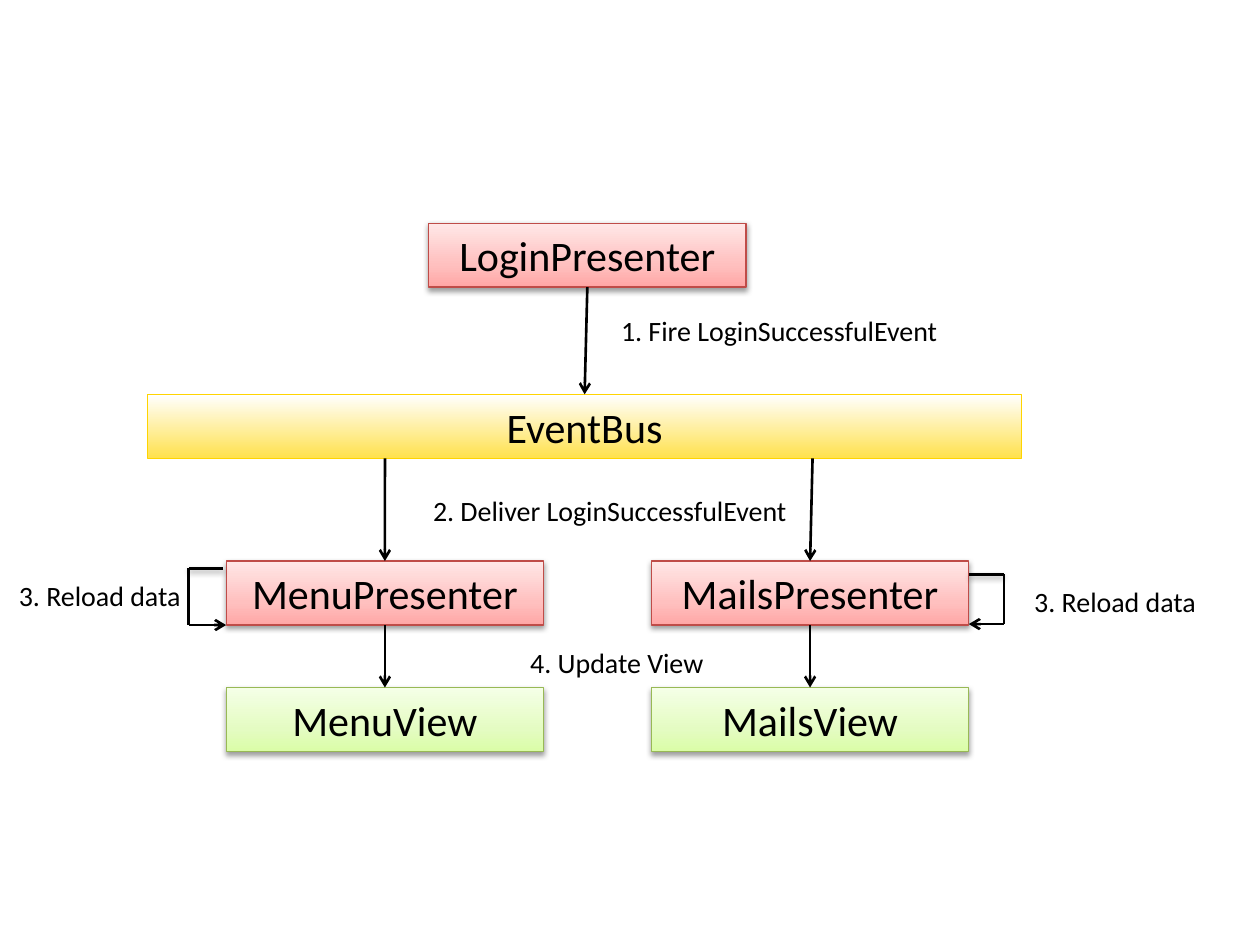
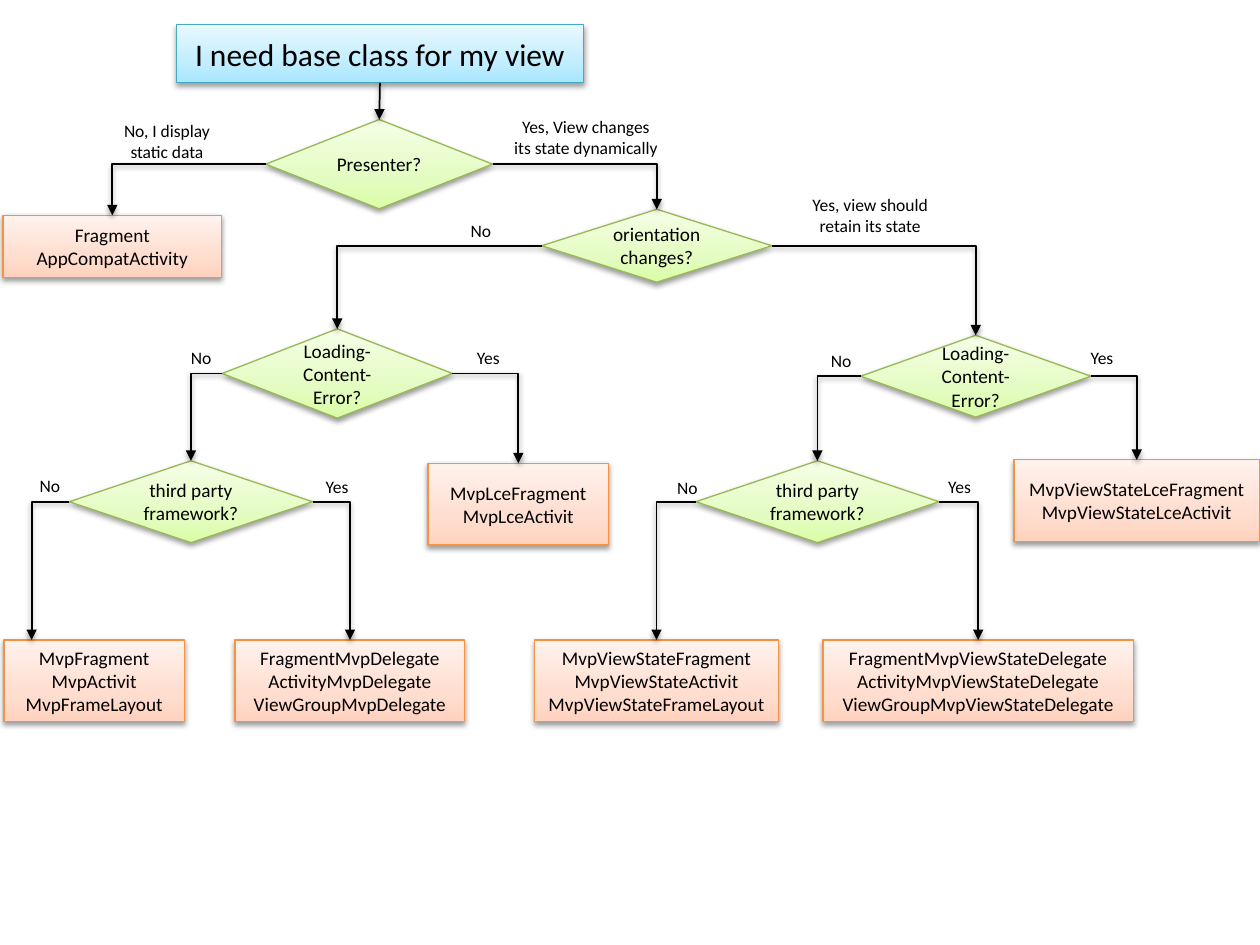
"""Build two diagrams: login event delivery and the choice of a view base class."""
import dataclasses

import pptx
import pptx.dml.color
import pptx.enum.shapes
import pptx.enum.text
import pptx.oxml.ns
import pptx.util
from lxml import etree

Cm = pptx.util.Cm
Pt = pptx.util.Pt
qn = pptx.oxml.ns.qn
SHAPE = pptx.enum.shapes.MSO_SHAPE
STRAIGHT = pptx.enum.shapes.MSO_CONNECTOR.STRAIGHT
ALIGN = pptx.enum.text.PP_ALIGN
SITES = {"top": 0, "left": 1, "bottom": 2, "right": 3}


@dataclasses.dataclass(frozen=True)
class Style:
    stops: tuple
    outline: str
    weight: float = 0.75
    shadow: bool = True


@dataclasses.dataclass(frozen=True)
class Theme:
    font: str = "Calibri"
    ink: str = "000000"
    part_size: int = 24
    step_size: int = 16
    question_size: int = 18
    node_size: int = 11
    answer_size: int = 10
    event_line: float = 1.5
    flow_line: float = 1
    red: Style = Style(((0, "FFA6A5"), (35, "FFC0BF"), (100, "FFE7E7")), "BF4C48")
    green: Style = Style(((0, "DAFDA7"), (35, "E4FCC2"), (100, "F5FFE7")), "98B955")
    blue: Style = Style(((0, "A7E6FF"), (35, "C1EDFF"), (100, "E7F8FF")), "46AAC5")
    orange: Style = Style(((0, "FFD2BD"), (35, "FFDED0"), (100, "FFF2ED")), "F69240")
    yellow: Style = Style(((0, "FFE14D"), (100, "FFFFFF")), "FFD400", 0.5, False)


THEME = Theme()

PART_WIDTH, PART_HEIGHT = 6.4, 1.29
MENU_LEFT, MAILS_LEFT = 4.56, 13.13
PRESENTER_TOP, VIEW_TOP = 11.31, 13.86
PARTS = {
    "login": (THEME.red, 8.64, 4.5, PART_WIDTH, "LoginPresenter"),
    "bus": (THEME.yellow, 2.97, 7.95, 17.63, "EventBus"),
    "menu": (THEME.red, MENU_LEFT, PRESENTER_TOP, PART_WIDTH, "MenuPresenter"),
    "mails": (THEME.red, MAILS_LEFT, PRESENTER_TOP, PART_WIDTH, "MailsPresenter"),
    "menu view": (THEME.green, MENU_LEFT, VIEW_TOP, PART_WIDTH, "MenuView"),
    "mails view": (THEME.green, MAILS_LEFT, VIEW_TOP, PART_WIDTH, "MailsView"),
}
CALLS = [("login", "bus"), ("menu", "menu view"), ("mails", "mails view")]
DELIVERIES = [(7.76, "menu"), (16.38, "mails")]
RELOADS = [
    [(19.53, 11.58), (20.24, 11.58), (20.24, 12.58), (19.53, 12.58)],
    [(4.5, 11.46), (3.8, 11.46), (3.8, 12.6), (4.56, 12.6)],
]
STEPS = [
    ("1. Fire LoginSuccessfulEvent", 12.27, 6.2, 7.44),
    ("2. Deliver LoginSuccessfulEvent", 8.48, 9.83, 8.23),
    ("3. Reload data", 20.6, 11.66, 3.84),
    ("4. Update View", 10.44, 12.88, 4.57),
    ("3. Reload data", 0.13, 11.53, 3.84),
]

QUESTION = ("I need base class for my view", 3.56, 0.5, 8.2, 1.17)
DECISIONS = {
    "presenter": ("Presenter?", 5.36, 2.41, 4.57, 1.8),
    "orientation": ("orientation changes?", 10.92, 4.22, 4.64, 1.47),
    "lce": ("Loading-Content-Error?", 4.48, 6.63, 4.64, 1.8),
    "state lce": ("Loading-Content-Error?", 17.35, 6.76, 4.64, 1.65),
    "third": ("third party framework?", 1.4, 9.29, 4.9, 1.65),
    "state third": ("third party framework?", 14.03, 9.29, 4.9, 1.65),
}
CLASSES = {
    "static": ("Fragment\nAppCompatActivity", 0.06, 4.34, 4.41, 1.25),
    "lce classes": ("MvpLceFragment\nMvpLceActivit", 8.63, 9.34, 3.64, 1.65),
    "state lce classes": (
        "MvpViewStateLceFragment\nMvpViewStateLceActivit", 20.44, 9.27, 4.95, 1.65),
    "classes": ("MvpFragment\nMvpActivit\nMvpFrameLayout", 0.08, 12.9, 3.64, 1.65),
    "delegates": (
        "FragmentMvpDelegate\nActivityMvpDelegate\nViewGroupMvpDelegate",
        4.74, 12.9, 4.63, 1.65),
    "state classes": (
        "MvpViewStateFragment\nMvpViewStateActivit\nMvpViewStateFrameLayout",
        10.78, 12.9, 4.91, 1.65),
    "state delegates": (
        "FragmentMvpViewStateDelegate\nActivityMvpViewStateDelegate\n"
        "ViewGroupMvpViewStateDelegate", 16.59, 12.9, 6.26, 1.65),
}
BRANCHES = {
    "presenter": ("static", "orientation"),
    "orientation": ("lce", "state lce"),
    "lce": ("third", "lce classes"),
    "state lce": ("state third", "state lce classes"),
    "third": ("classes", "delegates"),
    "state third": ("state classes", "state delegates"),
}
CLASSES_ENTRY = (0.64, 12.9)
ANSWERS = [
    ("No, I display static data", 1.98, 2.29, 2.77),
    ("Yes, View changes\nits state dynamically", 9.78, 2.21, 4.06),
    ("No", 8.31, 4.32, 2.77),
    ("Yes, view should retain its state", 15.7, 3.78, 3.68),
    ("No", 2.67, 6.88, 2.77),
    ("Yes", 8.46, 6.88, 2.77),
    ("No", 15.57, 6.93, 2.77),
    ("Yes", 20.83, 6.88, 2.77),
    ("No", 12.47, 9.5, 2.77),
    ("Yes", 17.96, 9.47, 2.77),
    ("No", 0, 9.45, 2.01),
    ("Yes", 5.41, 9.47, 2.77),
]


def color(code):
    return pptx.dml.color.RGBColor.from_string(code)


def write(frame, text, *, size, align=ALIGN.CENTER, anchor=None, grow=False):
    frame.word_wrap = True
    if anchor is not None:
        frame.vertical_anchor = anchor
    if grow:
        frame.auto_size = pptx.enum.text.MSO_AUTO_SIZE.SHAPE_TO_FIT_TEXT
    for number, line in enumerate(text.split("\n")):
        para = frame.add_paragraph() if number else frame.paragraphs[0]
        para.alignment = align
        span = para.add_run()
        span.text = line
        span.font.name = THEME.font
        span.font.size = Pt(size)
        span.font.color.rgb = color(THEME.ink)


def set_effects(properties, shadow):
    effects = properties.find(qn("a:effectLst"))
    if effects is None:
        effects = etree.SubElement(properties, qn("a:effectLst"))
    if shadow:
        outer = etree.SubElement(
            effects, qn("a:outerShdw"), blurRad="40000", dist="20000",
            dir="5400000", rotWithShape="0")
        tint = etree.SubElement(outer, qn("a:srgbClr"), val=THEME.ink)
        etree.SubElement(tint, qn("a:alpha"), val="38000")


def add_box(page, kind, style, text, left, top, width, height, **text_format):
    box = page.shapes.add_shape(kind, Cm(left), Cm(top), Cm(width), Cm(height))
    box.fill.gradient()
    box.fill.gradient_angle = 90
    properties = box._element.spPr
    stop_list = properties.find(".//" + qn("a:gsLst"))
    for stop in list(stop_list):
        stop_list.remove(stop)
    for position, code in style.stops:
        stop = etree.SubElement(stop_list, qn("a:gs"), pos=str(position * 1000))
        etree.SubElement(stop, qn("a:srgbClr"), val=code)
    box.line.color.rgb = color(style.outline)
    box.line.width = Pt(style.weight)
    box.shadow.inherit = False
    set_effects(properties, style.shadow)
    write(box.text_frame, text, **text_format)
    return box


def add_label(page, text, left, top, width, *, height, **text_format):
    label = page.shapes.add_textbox(Cm(left), Cm(top), Cm(width), Cm(height))
    write(label.text_frame, text, grow=True, **text_format)


def locate(anchor):
    place, side = anchor
    if side not in SITES:
        return Cm(place), Cm(side)
    across = {"left": 0, "right": place.width}.get(side, place.width // 2)
    down = {"top": 0, "bottom": place.height}.get(side, place.height // 2)
    return place.left + across, place.top + down


def connect(page, start, end, *, weight, head=None, shadow=False, elbow=False):
    link = page.shapes.add_connector(STRAIGHT, *locate(start), *locate(end))
    if start[1] in SITES:
        link.begin_connect(start[0], SITES[start[1]])
    if end[1] in SITES:
        link.end_connect(end[0], SITES[end[1]])
    link.line.color.rgb = color(THEME.ink)
    link.line.width = Pt(weight)
    properties = link._element.spPr
    if elbow:
        properties.find(qn("a:prstGeom")).set("prst", "bentConnector2")
    if head:
        etree.SubElement(properties.find(qn("a:ln")), qn("a:tailEnd"), type=head)
    set_effects(properties, shadow)


def draw_events(page):
    boxes = {
        name: add_box(page, SHAPE.RECTANGLE, style, text, left, top, width,
                      PART_HEIGHT, size=THEME.part_size, grow=True)
        for name, (style, left, top, width, text) in PARTS.items()
    }
    arrow = {"weight": THEME.event_line, "head": "arrow"}
    for source, target in CALLS:
        connect(page, (boxes[source], "bottom"), (boxes[target], "top"), **arrow)
    bus_bottom = PARTS["bus"][2] + PART_HEIGHT
    for left, target in DELIVERIES:
        connect(page, (left, bus_bottom), (boxes[target], "top"), **arrow)
    for leave, turn, corner, back in RELOADS:
        connect(page, leave, turn, weight=THEME.event_line, shadow=True)
        connect(page, turn, corner, weight=THEME.event_line)
        connect(page, corner, back, **arrow)
    for step in STEPS:
        add_label(page, *step, height=0.94, size=THEME.step_size, align=ALIGN.LEFT)


def draw_choice(page):
    middle = pptx.enum.text.MSO_ANCHOR.MIDDLE
    question = add_box(page, SHAPE.FLOWCHART_PROCESS, THEME.blue, *QUESTION,
                       size=THEME.question_size, anchor=middle)
    nodes = {}
    for kind, style, group in (
        (SHAPE.FLOWCHART_DECISION, THEME.green, DECISIONS),
        (SHAPE.FLOWCHART_PROCESS, THEME.orange, CLASSES),
    ):
        for name, content in group.items():
            nodes[name] = add_box(page, kind, style, *content,
                                  size=THEME.node_size, anchor=middle)
    arrow = {"weight": THEME.flow_line, "head": "triangle", "shadow": True}
    connect(page, (question, "bottom"), (nodes["presenter"], "top"), **arrow)
    for decision, targets in BRANCHES.items():
        for side, target in zip(("left", "right"), targets):
            end = CLASSES_ENTRY if target == "classes" else (nodes[target], "top")
            connect(page, (nodes[decision], side), end, elbow=True, **arrow)
    for answer in ANSWERS:
        height = 0.69 if answer[0] in ("No", "Yes") else 1.12
        add_label(page, *answer, height=height, size=THEME.answer_size)


def main():
    deck = pptx.Presentation()
    deck.slide_width, deck.slide_height = Cm(25.4), Cm(19.05)
    for draw in (draw_events, draw_choice):
        draw(deck.slides.add_slide(deck.slide_layouts[6]))
    deck.save("out.pptx")


if __name__ == "__main__":
    main()
